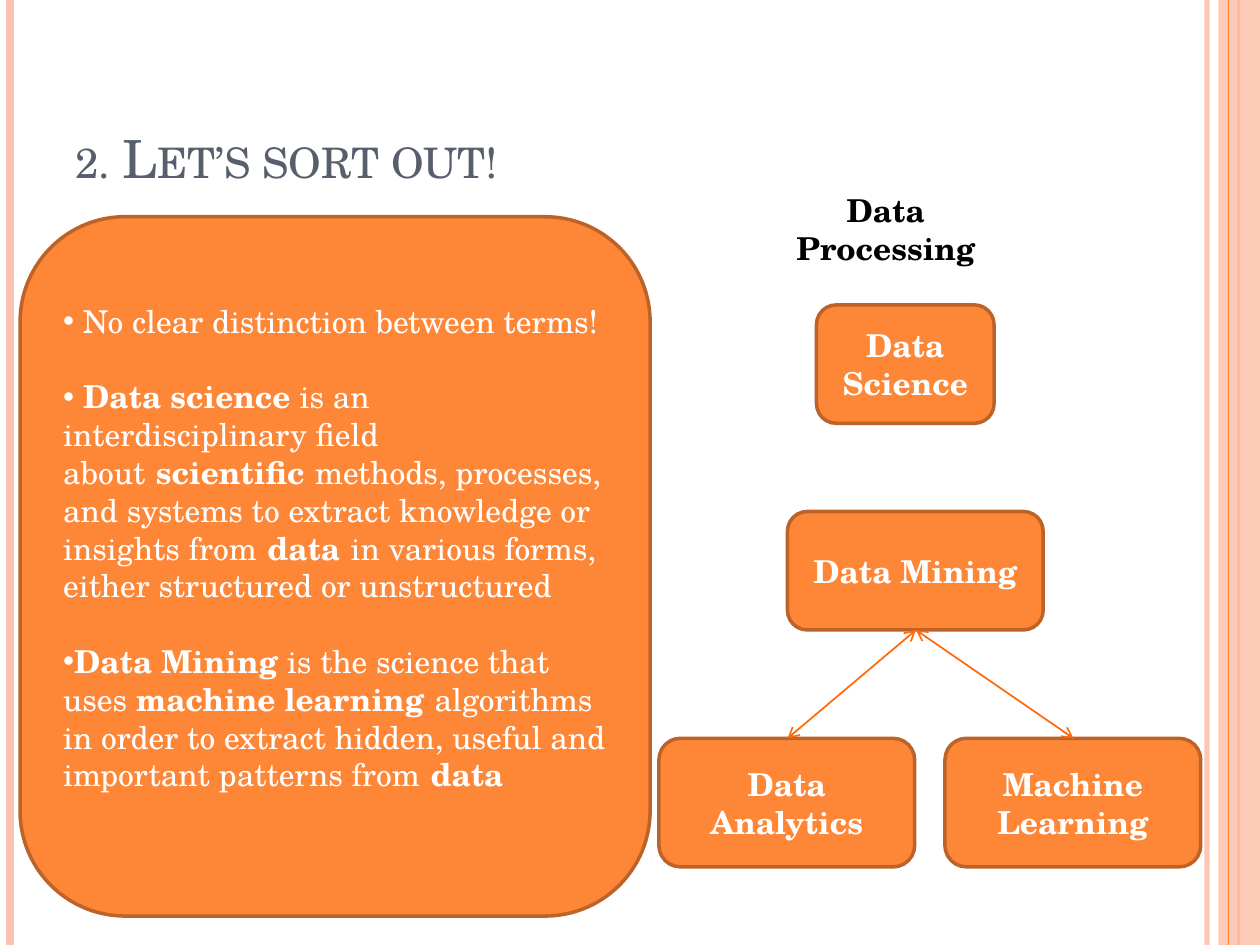
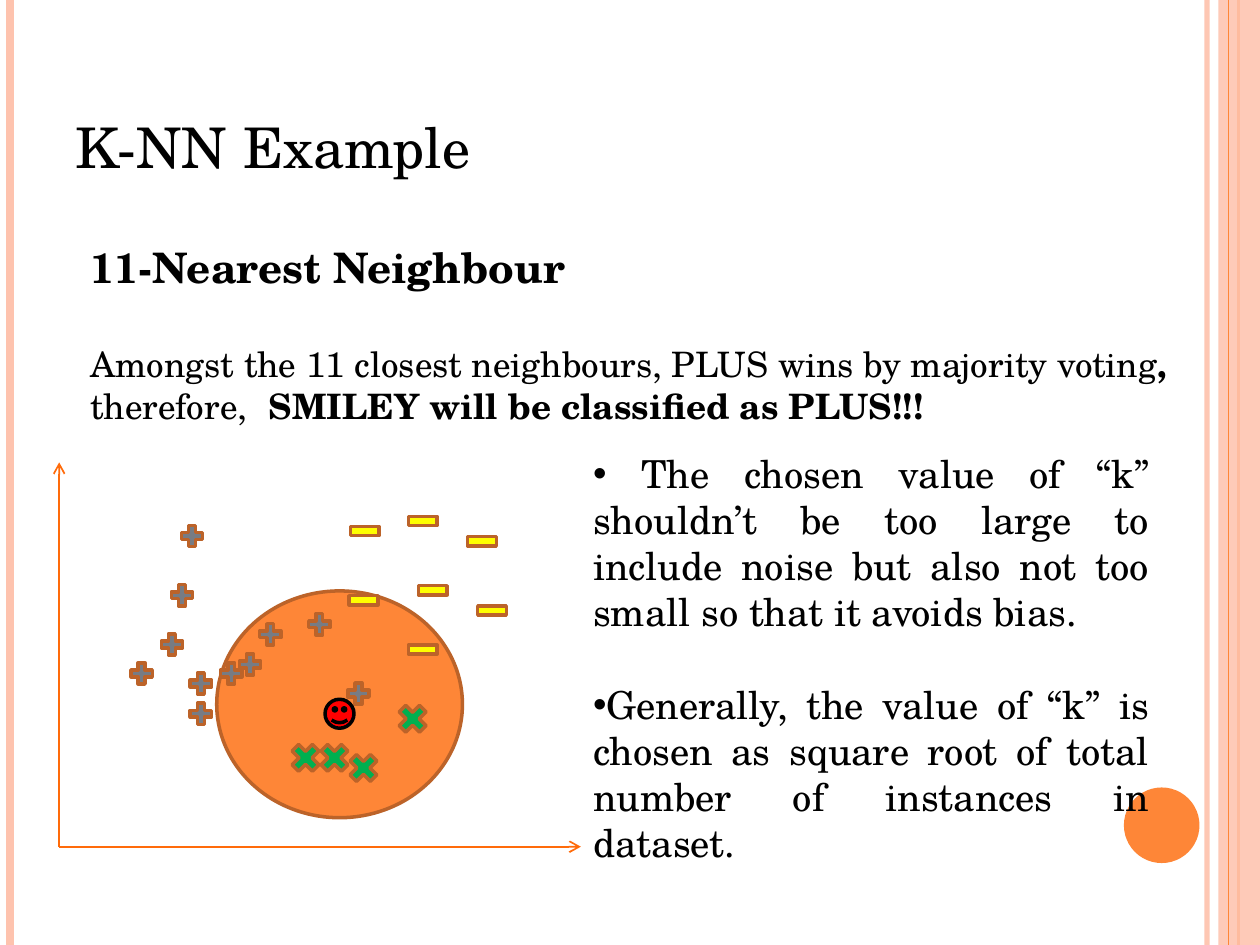
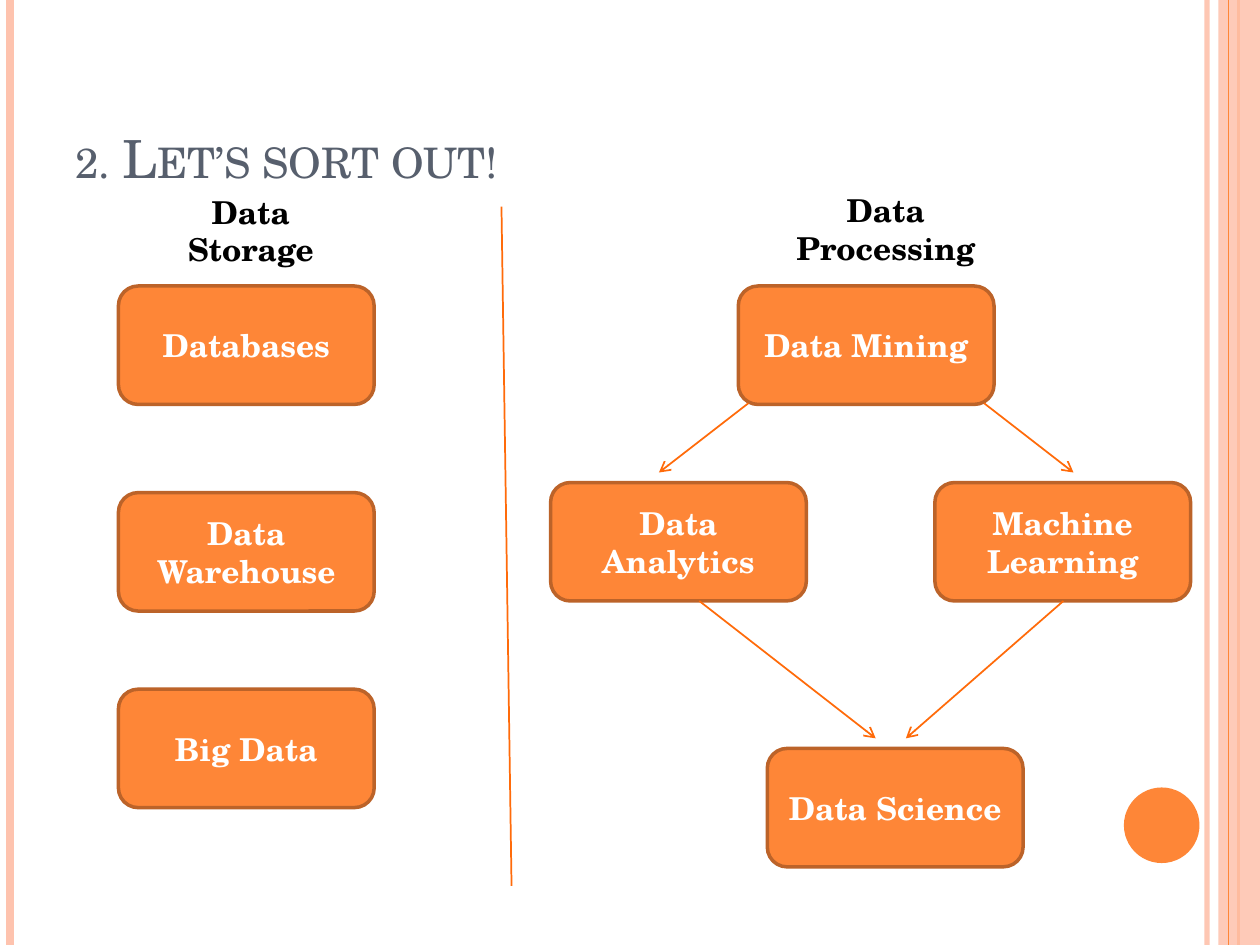
from pptx import Presentation
from pptx.dml.color import RGBColor
from pptx.enum.shapes import MSO_CONNECTOR, MSO_SHAPE
from pptx.enum.text import MSO_ANCHOR, MSO_AUTO_SIZE, PP_ALIGN
from pptx.oxml.ns import qn
from pptx.util import Inches, Pt
from lxml.etree import SubElement

FONT = "TeX Gyre Schola"
ORANGE, BROWN, ARROW, PEACH = "FE8637", "BC6329", "FF6B0A", "FEC3AE"
SLATE, GRAY, YELLOW, GREEN, RED = "575F6D", "777C84", "FFFF00", "00B050", "FF0000"
BLACK, WHITE = "000000", "FFFFFF"
NBSP = chr(160)
NODE_W, NODE_H = 2.03, 0.94
TITLE_BOX = (0.5, 0.3, 8.17, 1.25)
SORT_TITLE = "2. Let’s sort out!"


def rgb(color):
    return RGBColor.from_string(color)


def inches(*values):
    return [Inches(v) for v in values]


def set_alpha(shape, percent):
    for color in shape.element.iter(qn("a:srgbClr")):
        SubElement(color, qn("a:alpha"), val=str(percent * 1000))


def add_bullet(p):
    pPr = p._p.get_or_add_pPr()
    pPr.set("marL", "0")
    pPr.set("indent", "0")
    SubElement(pPr, qn("a:buFont"), typeface="Arial")
    SubElement(pPr, qn("a:buChar"), char="•")


def write(p, text, size, color, bold=False, align=PP_ALIGN.LEFT, gap=0, bullet=False):
    for name, value in {"alignment": align, "space_before": Pt(gap)}.items():
        setattr(p, name, value)
    if bullet:
        add_bullet(p)
    for i, part in enumerate(text.split("*")):
        if not part:
            continue
        r = p.add_run()
        r.text = part
        style = {"name": FONT, "size": Pt(size), "bold": bold or i % 2 == 1}
        for name, value in style.items():
            setattr(r.font, name, value)
        r.font.color.rgb = rgb(color)


def add_line(s, start, end, color=ARROW, width=1, ends=()):
    line = s.shapes.add_connector(MSO_CONNECTOR.STRAIGHT, *inches(*start, *end))
    line.line.color.rgb = rgb(color)
    line.line.width = Pt(width)
    spPr = line.element.spPr
    for end_tag in ends:
        SubElement(line.line._get_or_add_ln(), qn(end_tag), type="arrow")
    SubElement(spPr, qn("a:effectLst"))
    return line


def add_shape(s, kind, box, fill=ORANGE, outline=BROWN):
    sp = s.shapes.add_shape(kind, *inches(*box))
    sp.shadow.inherit = False
    sp.fill.solid()
    sp.fill.fore_color.rgb = rgb(fill)
    if outline:
        sp.line.color.rgb = rgb(outline)
        sp.line.width = Pt(2)
    else:
        sp.line.fill.background()
    return sp


def add_text(s, box):
    tf = s.shapes.add_textbox(*inches(*box)).text_frame
    tf.word_wrap = True
    return tf


def add_title(s, text, box=TITLE_BOX, size=30, color=SLATE, small_caps=True):
    title = s.shapes.title
    for name, value in zip(("left", "top", "width", "height"), inches(*box)):
        setattr(title, name, value)
    tf = title.text_frame
    frame = {"vertical_anchor": MSO_ANCHOR.BOTTOM, "auto_size": MSO_AUTO_SIZE.NONE}
    for name, value in frame.items():
        setattr(tf, name, value)
    p = tf.paragraphs[0]
    write(p, text, size, color)
    if small_caps:
        p.runs[0]._r.get_or_add_rPr().set("cap", "small")


def add_node(s, text, box):
    sp = add_shape(s, MSO_SHAPE.ROUNDED_RECTANGLE, box)
    tf = sp.text_frame
    tf.vertical_anchor = MSO_ANCHOR.MIDDLE
    write(tf.paragraphs[0], text, 18, WHITE, bold=True, align=PP_ALIGN.CENTER)


def diagram(s, origin, caption, nodes, arrows=(), ends=("a:tailEnd",)):
    left, top = origin
    text, x, width = caption
    tf = add_text(s, (left + x, top, width, 0.71))
    write(tf.paragraphs[0], text, 18, BLACK, bold=True, align=PP_ALIGN.CENTER)
    for text, x, y, *size in nodes:
        add_node(s, text, (left + x, top + y, *(size or (NODE_W, NODE_H))))
    for x1, y1, x2, y2 in arrows:
        add_line(s, (left + x1, top + y1), (left + x2, top + y2), ends=ends)


def definitions_panel(s, box):
    sp = add_shape(s, MSO_SHAPE.ROUNDED_RECTANGLE, box)
    tf = sp.text_frame
    tf.vertical_anchor = MSO_ANCHOR.MIDDLE
    tf.margin_bottom = Inches(0.35)
    points = (
        " No clear distinction between terms!",
        f"* Data science *is an interdisciplinary field about{NBSP}*scientific*{NBSP}methods, "
        f"processes, and systems to extract knowledge or insights from{NBSP}*data*{NBSP}in "
        "various forms, either structured or unstructured",
        f"*Data Mining *is the science that uses *machine learning{NBSP}*algorithms in order "
        f"to extract hidden, useful and important patterns from{NBSP}*data*",
    )
    for i, text in enumerate(points):
        p = tf.add_paragraph() if i else tf.paragraphs[0]
        write(p, text, 18, WHITE, gap=21.6 if i else 0, bullet=True)


def neighbour_plot(s, box):
    left, top, width, height = box
    bottom = top + height
    add_shape(s, MSO_SHAPE.OVAL, (left + 1.25, top + 1.02, 1.95, 1.8))
    for end in ((left + width, bottom), (left, top)):
        add_line(s, (left, bottom), end, ends=("a:tailEnd",))
    marks = (
        (MSO_SHAPE.MATH_PLUS, 0.23, GRAY, BROWN, (
            (0.94, 0.47), (1.4, 1.49), (1.01, 1.64), (2.26, 1.72), (1.01, 1.88), (1.56, 1.25),
            (1.95, 1.17), (1.25, 1.56), (0.86, 0.94), (0.54, 1.56), (0.78, 1.33))),
        (MSO_SHAPE.MATH_MINUS, 0.31, YELLOW, BROWN, (
            (3.2, 0.47), (2.27, 0.39), (2.81, 0.86), (2.73, 1.33), (3.28, 1.02),
            (2.26, 0.94), (2.73, 0.31))),
        (MSO_SHAPE.MATH_MULTIPLY, 0.31, GREEN, BROWN, (
            (2.65, 1.88), (2.03, 2.19), (1.8, 2.19), (2.26, 2.27))),
        (MSO_SHAPE.SMILEY_FACE, 0.23, RED, BLACK, ((2.11, 1.88),)),
    )
    for kind, size, fill, outline, points in marks:
        for x, y in points:
            add_shape(s, kind, (left + x, top + y, size, size), fill, outline)


def vote_result(s, box):
    tf = add_text(s, box)
    write(tf.paragraphs[0], "11-Nearest Neighbour", 24, BLACK, bold=True)
    result = ("Amongst the 11 closest neighbours, PLUS wins by majority voting*, *"
              f"therefore, {NBSP}*SMILEY will be classified as PLUS!!!*")
    write(tf.add_paragraph(), result, 20, BLACK, gap=28.8)


def k_advice(s, box):
    tf = add_text(s, box)
    points = (
        " The chosen value of “k” shouldn’t be too large to include noise but also not too "
        "small so that it avoids bias.",
        "Generally, the value of “k” is chosen as square root of total number of instances "
        "in dataset.",
    )
    for i, text in enumerate(points):
        p = tf.add_paragraph() if i else tf.paragraphs[0]
        write(p, text, 22, BLACK, align=PP_ALIGN.JUSTIFY, gap=26.4 if i else 0, bullet=True)


def decorate_master(prs, s):
    def rule(x, color, width):
        return add_line(s, (x, 0), (x, 7.5), color, width)

    inner = rule(9.58, PEACH, 3)
    set_alpha(inner, 93)
    parts = [inner, rule(0.08, PEACH, 4.5), rule(9.83, ORANGE, 1.5)]
    band = add_shape(s, MSO_SHAPE.RECTANGLE, (9.67, 0, 0.33, 7.5), PEACH, None)
    set_alpha(band, 87)
    dot = add_shape(s, MSO_SHAPE.OVAL, (8.92, 6.25, 0.6, 0.6), ORANGE, None)
    parts += [band, rule(9.75, ORANGE, 0.75), dot]
    for part in parts:
        prs.slide_master.shapes.element.append(part.element)


def terms_slide(s):
    definitions_panel(s, (0.16, 1.72, 5, 5.55))
    add_title(s, SORT_TITLE)
    diagram(
        s, (5.23, 1.47), ("Data Processing", 0.86, 1.88),
        (("Machine Learning", 2.27, 4.39, NODE_W, 1.02), ("Data Mining", 1.02, 2.59),
         ("Data Analytics", 0, 4.39, NODE_W, 1.02), ("Data Science", 1.25, 0.95, 1.41, NODE_H)),
        ((2.04, 3.53, 1.02, 4.39), (2.04, 3.53, 3.29, 4.39)),
        ("a:headEnd", "a:tailEnd"))


def knn_slide(s):
    add_title(s, "K-NN Example", (0.5, 0.78, 4.03, 0.7), 32, BLACK, small_caps=False)
    vote_result(s, (0.62, 1.87, 8.75, 1.58))
    neighbour_plot(s, (0.47, 3.67, 4.14, 3.05))
    k_advice(s, (4.61, 3.52, 4.61, 3.43))


def overview_slide(s):
    add_title(s, SORT_TITLE)
    diagram(
        s, (0.94, 1.48), ("Data Storage", 0.23, 1.64),
        (("Databases", 0, 0.79), ("Data Warehouse", 0, 2.43), ("Big Data", 0, 3.99)))
    add_line(s, (3.98, 1.64), (4.06, 7.03))
    diagram(
        s, (4.37, 1.47), ("Data Processing", 1.72, 1.88),
        (("Data Mining", 1.49, 0.8), ("Data Analytics", 0, 2.36),
         ("Machine Learning", 3.05, 2.36), ("Data Science", 1.72, 4.47)),
        ((1.57, 1.73, 0.86, 2.28), (3.44, 1.73, 4.15, 2.28),
         (1.18, 3.3, 2.58, 4.39), (4.07, 3.3, 2.82, 4.39)))


def main():
    prs = Presentation()
    prs.slide_width, prs.slide_height = inches(10, 7.5)
    for build in (terms_slide, knn_slide, overview_slide):
        s = prs.slides.add_slide(prs.slide_layouts[5])
        build(s)
    decorate_master(prs, s)
    prs.save("out.pptx")


if __name__ == "__main__":
    main()
